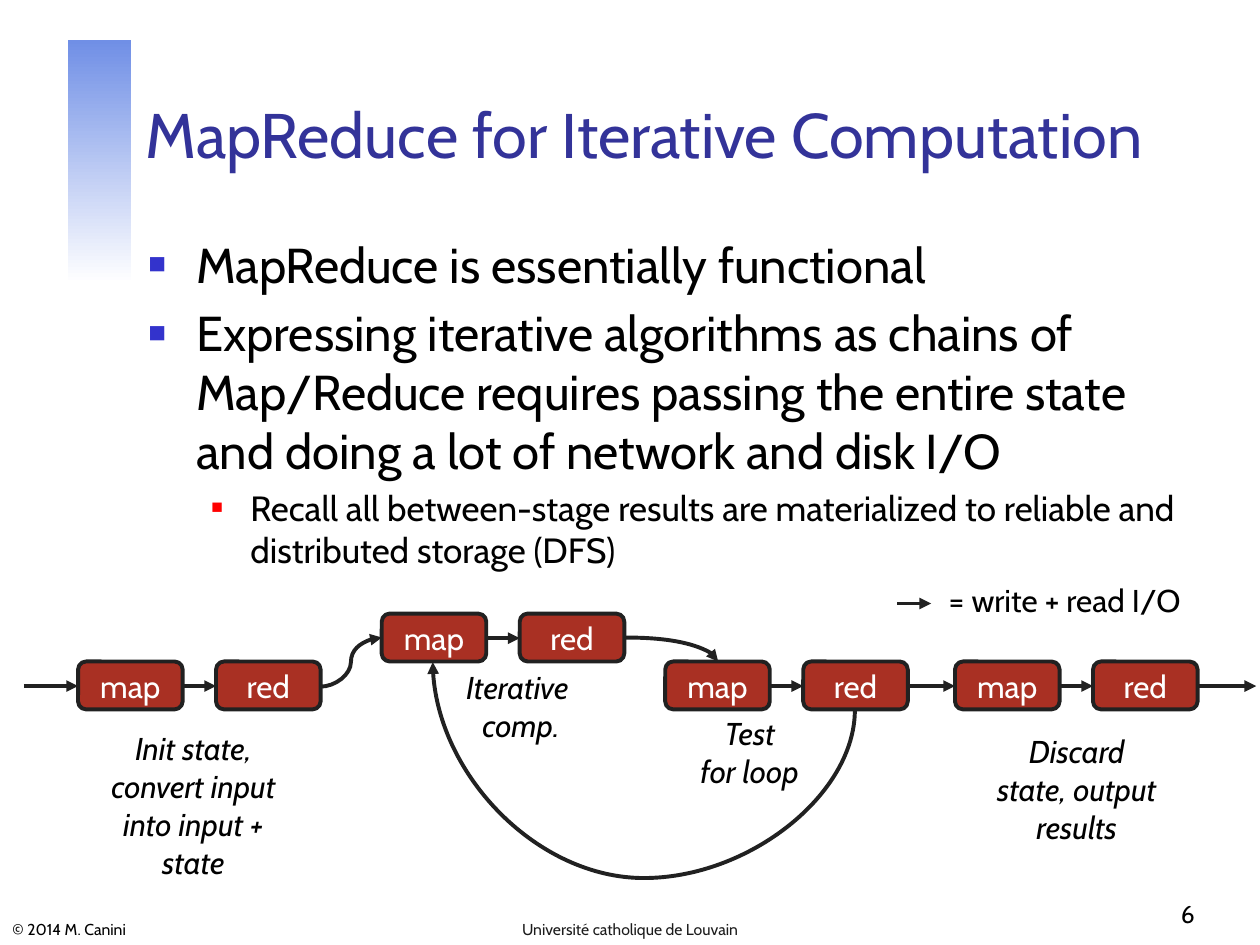
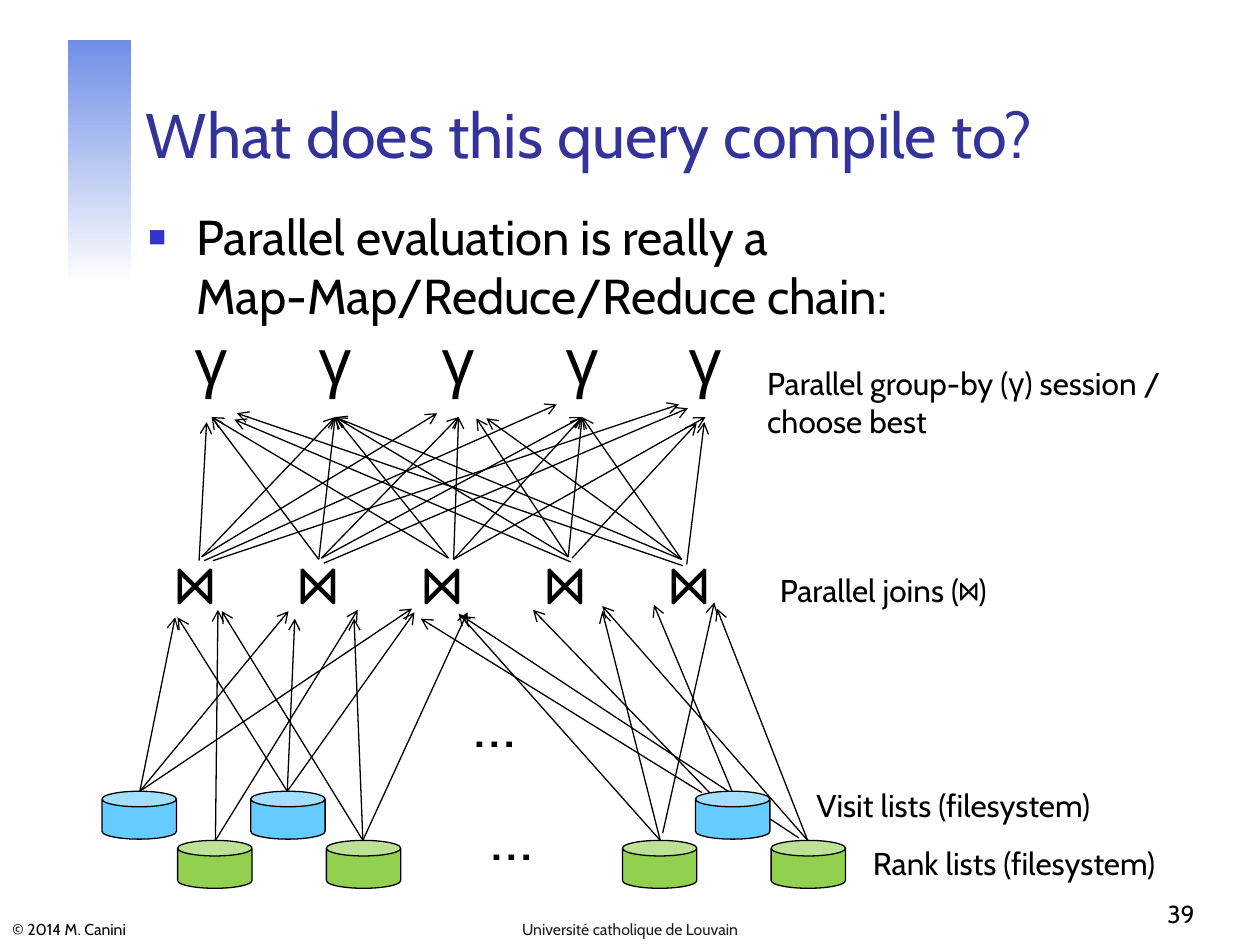
from lxml import etree
from pptx import Presentation
from pptx import util as u
from pptx.dml.color import RGBColor
from pptx.enum import shapes, text
from pptx.oxml import ns

# Shared colours and fonts
BLACK = RGBColor(0x00, 0x00, 0x00)
WHITE = RGBColor(0xFF, 0xFF, 0xFF)
TITLE_BLUE = RGBColor(0x33, 0x33, 0x99)
BAND_BLUE = RGBColor(0x70, 0x8F, 0xE6)
FOOTER_GREY = RGBColor(0x1C, 0x1C, 0x1C)
STAGE_RED = RGBColor(0xA9, 0x30, 0x23)
STAGE_LINE = RGBColor(0x21, 0x21, 0x21)
VISIT_BLUE = RGBColor(0x66, 0xCC, 0xFF)
RANK_GREEN = RGBColor(0x92, 0xD0, 0x50)
BULLET_BLUE, BULLET_RED = "3333CC", "FF0000"
FONT, MONO = "Cabin", "Noto Sans Mono"
LEFT, CENTER, RIGHT = text.PP_ALIGN.LEFT, text.PP_ALIGN.CENTER, text.PP_ALIGN.RIGHT
TOP, MIDDLE, BOTTOM = (text.MSO_ANCHOR.TOP, text.MSO_ANCHOR.MIDDLE,
                       text.MSO_ANCHOR.BOTTOM)
STRAIGHT, CURVE = shapes.MSO_CONNECTOR.STRAIGHT, shapes.MSO_CONNECTOR.CURVE

presentation = Presentation()
presentation.slide_width, presentation.slide_height = u.Inches(10), u.Inches(7.5)

# Grid of 100 columns by 75 rows
CELL = presentation.slide_width // 100


def write(shape, pieces, size=18, color=BLACK, align=LEFT, anchor=TOP,
          italic=False, wrap=True, symbol_font=MONO):
    """Fill a shape with text; a piece that is a lone symbol gets its own font."""
    frame = shape.text_frame
    frame.word_wrap = wrap
    frame.vertical_anchor = anchor
    frame.text = pieces[0]
    for piece in pieces[1:]:
        frame.paragraphs[0].add_run().text = piece
    for paragraph in frame.paragraphs:
        paragraph.alignment = align
        for run in paragraph.runs:
            font = run.font
            font.size, font.italic = u.Pt(size), italic
            font.name = symbol_font if run.text in ("⋈", "γ") else FONT
            font.color.rgb = color
            east_asian = etree.SubElement(font._element, ns.qn("a:ea"))
            east_asian.set("typeface", font.name)
    return frame


def add_arrow(slide, points, color=BLACK, width=0.75, head="arrow", kind=STRAIGHT):
    """Draw an arrow through (from x, from y, to x, to y) in grid cells."""
    arrow = slide.shapes.add_connector(kind, *[round(p * CELL) for p in points])
    arrow.line.color.rgb, arrow.line.width = color, u.Pt(width)
    properties = arrow._element.spPr
    etree.SubElement(properties.find(ns.qn("a:ln")), ns.qn("a:tailEnd")).set("type", head)
    etree.SubElement(properties, ns.qn("a:effectLst"))
    return properties


# What both slides share: band, title, bullets, footers
PAGES = [
    ("MapReduce for Iterative Computation", "6", (10.8, 18.1, 85, 49.6), [
        ("MapReduce is essentially functional", 0),
        ("Expressing iterative algorithms as chains of Map/Reduce requires "
         "passing the entire state and doing a lot of network and disk I/O", 0),
        ("Recall all between-stage results are materialized to reliable and "
         "distributed storage (DFS)", 1)]),
    ("What does this query compile to?", "39", (10.8, 15.9, 87.2, 51.8), [
        ("Parallel evaluation is really a \vMap-Map/Reduce/Reduce chain:", 0)]),
]
# Per level: size, left margin, indent, bullet colour, bullet size
LEVELS = [(28, 0.38, -0.38, BULLET_BLUE, 60), (20, 0.81, -0.31, BULLET_RED, 55)]

for title, number, body_box, bullets in PAGES:
    slide = presentation.slides.add_slide(presentation.slide_layouts[6])
    band = slide.shapes.add_shape(shapes.MSO_SHAPE.RECTANGLE,
                                  *[round(n * CELL) for n in (5.4, 3.2, 5, 19.3)])
    band.shadow.inherit = False
    band.line.fill.background()
    band.fill.gradient()
    band.fill.gradient_angle = 270
    for stop, color, position in zip(band.fill.gradient_stops, (BAND_BLUE, WHITE), (0, 1)):
        stop.color.rgb, stop.position = color, position

    for words, box, size, color, align in [
            (title, (10.6, 3.3, 85.2, 10.8), 36, TITLE_BLUE, LEFT),
            ("© 2014 M. Canini", (0, 72.2, 30.2, 2.8), 9, BLACK, LEFT),
            ("Université catholique de Louvain", (34.2, 72.2, 31.6, 2.8), 9,
             FOOTER_GREY, CENTER),
            (number, (75, 69.2, 20.8, 5), 14, BLACK, RIGHT)]:
        textbox = slide.shapes.add_textbox(*[round(n * CELL) for n in box])
        write(textbox, [words], size, color, align, BOTTOM)

    body = slide.shapes.add_textbox(*[round(n * CELL) for n in body_box])
    frame = write(body, ["\n".join(words for words, level in bullets)])
    for paragraph, (words, level) in zip(frame.paragraphs, bullets):
        size, margin, indent, bullet_color, bullet_size = LEVELS[level]
        paragraph.level = level
        paragraph.space_before = u.Pt(size * 0.2)
        for run in paragraph.runs:
            run.font.size = u.Pt(size)
        properties = paragraph._p.get_or_add_pPr()
        properties.set("marL", str(u.Inches(margin)))
        properties.set("indent", str(u.Inches(indent)))
        color = etree.SubElement(properties, ns.qn("a:buClr"))
        etree.SubElement(color, ns.qn("a:srgbClr")).set("val", bullet_color)
        etree.SubElement(properties, ns.qn("a:buSzPct")).set("val", str(bullet_size * 1000))
        etree.SubElement(properties, ns.qn("a:buFont")).set("typeface", "Arial")
        etree.SubElement(properties, ns.qn("a:buChar")).set("char", "■")

chain_slide, query_slide = presentation.slides

# Chain of map and reduce stages
STAGE_WIDTH, STAGE_HEIGHT, STAGE_STEP, STAGE_MIDDLE = 8.3, 3.8, 10.95, 1.95
STAGE_ARROW = dict(color=STAGE_LINE, width=2.25, head="triangle")
for left, top in [(6.2, 52.5), (30.3, 48.7), (52.8, 52.5), (75.8, 52.5)]:
    for index, name in enumerate(("map", "red")):
        box = (left + index * STAGE_STEP, top, STAGE_WIDTH, STAGE_HEIGHT)
        stage = chain_slide.shapes.add_shape(shapes.MSO_SHAPE.ROUNDED_RECTANGLE,
                                             *[round(n * CELL) for n in box])
        stage.shadow.inherit = False
        stage.fill.solid()
        stage.fill.fore_color.rgb = STAGE_RED
        stage.line.color.rgb, stage.line.width = STAGE_LINE, u.Pt(2.25)
        write(stage, [name], color=WHITE, align=CENTER, anchor=MIDDLE)
    middle = top + STAGE_MIDDLE
    add_arrow(chain_slide, (left + STAGE_WIDTH, middle, left + STAGE_STEP, middle),
              **STAGE_ARROW)

# Straight arrows between stages, and the one in the legend
for start, end, row in [(1.9, 6.2, 54.45), (72.1, 75.8, 54.45),
                        (95, 99.7, 54.45), (71.2, 73.9, 47.9)]:
    add_arrow(chain_slide, (start, row, end, row), **STAGE_ARROW)

# Curved arrows into, out of and back to the iteration
add_arrow(chain_slide, (25.4, 54.5, 30.3, 50.6), kind=CURVE, **STAGE_ARROW)
leave = add_arrow(chain_slide, (49.7, 50.6, 57, 52.5), kind=CURVE, **STAGE_ARROW)
leave.find(ns.qn("a:prstGeom")).set("prst", "curvedConnector2")
loop = add_arrow(chain_slide, (53, 37.7, 49.2, 71.2), kind=CURVE, **STAGE_ARROW)
loop.find(ns.qn("a:xfrm")).set("rot", str(90 * 60000))
guides = loop.find(ns.qn("a:prstGeom")).find(ns.qn("a:avLst"))
bulge = etree.SubElement(guides, ns.qn("a:gd"))
bulge.set("name", "adj1")
bulge.set("fmla", "val -351000")

# Stage captions and legend
for words, box, italic in [
        ("Init state,\vconvert input\vinto input +\vstate", (6.6, 57.4, 17.5, 13.1), True),
        ("Iterative \vcomp.", (35.3, 52.5, 12.1, 7.1), True),
        ("Test\vfor loop", (53.8, 56.2, 11.4, 7.1), True),
        ("Discard\vstate, output\vresults", (76.9, 57.6, 17.1, 10.1), True),
        ("= write + read I/O", (73, 45.6, 23, 4), False)]:
    caption = chain_slide.shapes.add_textbox(*[round(n * CELL) for n in box])
    frame = write(caption, [words], align=CENTER, italic=italic, wrap=False)
    frame.auto_size = text.MSO_AUTO_SIZE.SHAPE_TO_FIT_TEXT

# Arrows from the lists up to the joins, by starting point
LIST_ARROWS = [
    ((11.1, 62.8), [(13.9, 49), (22.9, 48.5), (32.7, 48.3)]),
    ((22.8, 62.8), [(23.4, 49.1), (14.1, 49), (32.9, 48.6)]),
    ((58.1, 62.8), [(51.9, 48)]),
    ((56.5, 63.1), [(42.3, 48.4)]),
    ((55.7, 62.9), [(33.4, 49.1)]),
    ((17.1, 66.7), [(17.3, 48.4), (28.4, 48.4)]),
    ((28.8, 66.7), [(17.6, 48.5), (28.1, 49.1), (37.1, 48.6)]),
    ((52.4, 66.7), [(36.4, 48.7), (47.8, 48.5)]),
    ((52.6, 66.1), [(56.7, 47.8)]),
    ((63.4, 66.5), [(36.7, 48.9)]),
    ((64.1, 66.7), [(56.9, 48.3), (47.8, 48.1)]),
]
# Arrows from each join up to the five group-bys
JOIN_ARROWS = [
    ((15.8, 44.5), [(16.4, 33.5)]),
    ((16, 44.2), [(26.6, 33.1), (34.7, 32.8)]),
    ((16.2, 44.5), [(44.2, 32.1)]),
    ((16.9, 44.5), [(53.9, 32.1)]),
    ((25.3, 44.4), [(16.8, 33.1), (26.6, 33.1)]),
    ((25.5, 44.3), [(36.4, 33.1), (46.2, 33.1)]),
    ((25.7, 44.7), [(54.6, 32.4)]),
    ((35.6, 44.3), [(16.8, 33.1), (26.6, 33.1)]),
    ((36, 44.4), [(36.4, 33.1), (46.2, 33.1), (56, 33.1)]),
    ((45.3, 44.6), [(18.6, 33.3)]),
    ((45.1, 44.2), [(26.6, 33.1), (37.8, 33.2), (46.2, 33.1)]),
    ((45.4, 44.3), [(55.3, 33.6)]),
    ((54.5, 44.8), [(55.9, 33.5)]),
    ((54.1, 44.4), [(46.2, 33.1), (38.6, 33.2), (26.6, 33.1)]),
    ((54.2, 44.9), [(18.8, 32.8)]),
]
for start, tips in LIST_ARROWS + JOIN_ARROWS:
    for tip in tips:
        add_arrow(query_slide, start + tip)

# Visit and rank lists
for color, top, lefts in [(VISIT_BLUE, 62.8, (8.1, 19.9, 55.2)),
                          (RANK_GREEN, 66.7, (14.1, 25.9, 49.4, 61.2))]:
    for left in lefts:
        store = query_slide.shapes.add_shape(
            shapes.MSO_SHAPE.CAN, *[round(n * CELL) for n in (left, top, 5.9, 3.8)])
        store.shadow.inherit = False
        store.adjustments[0] = 0.325
        store.fill.solid()
        store.fill.fore_color.rgb = color
        store.line.color.rgb, store.line.width = BLACK, u.Pt(0.75)

# Operators in rows of five, and the ellipses
OPERATOR_STEP = 9.8
symbols = [("…", 35.7, 62.8, 9.9), ("…", 34.3, 53.8, 9.9)]
for symbol, left, top in [("γ", 12.9, 25), ("⋈", 11.6, 42.7)]:
    symbols += [(symbol, left + i * OPERATOR_STEP, top, 7.8) for i in range(5)]
for symbol, left, top, width in symbols:
    textbox = query_slide.shapes.add_textbox(
        *[round(n * CELL) for n in (left, top, width, 7.1)])
    write(textbox, [symbol], 36, align=CENTER)

# Row labels
for pieces, box, symbol_font in [
        (["Parallel group-by (", "γ", ") session / choose best"],
         (59.9, 28.4, 34.9, 7.1), "Arial"),
        (["Parallel joins (", "⋈", ")"], (60.9, 44.8, 33.1, 4), MONO),
        (["Visit lists (filesystem)"], (63.8, 61.9, 33.1, 4), MONO),
        (["Rank lists (filesystem)"], (68.3, 66.5, 31.7, 4), MONO)]:
    label = query_slide.shapes.add_textbox(*[round(n * CELL) for n in box])
    write(label, pieces, symbol_font=symbol_font)

presentation.save("out.pptx")
